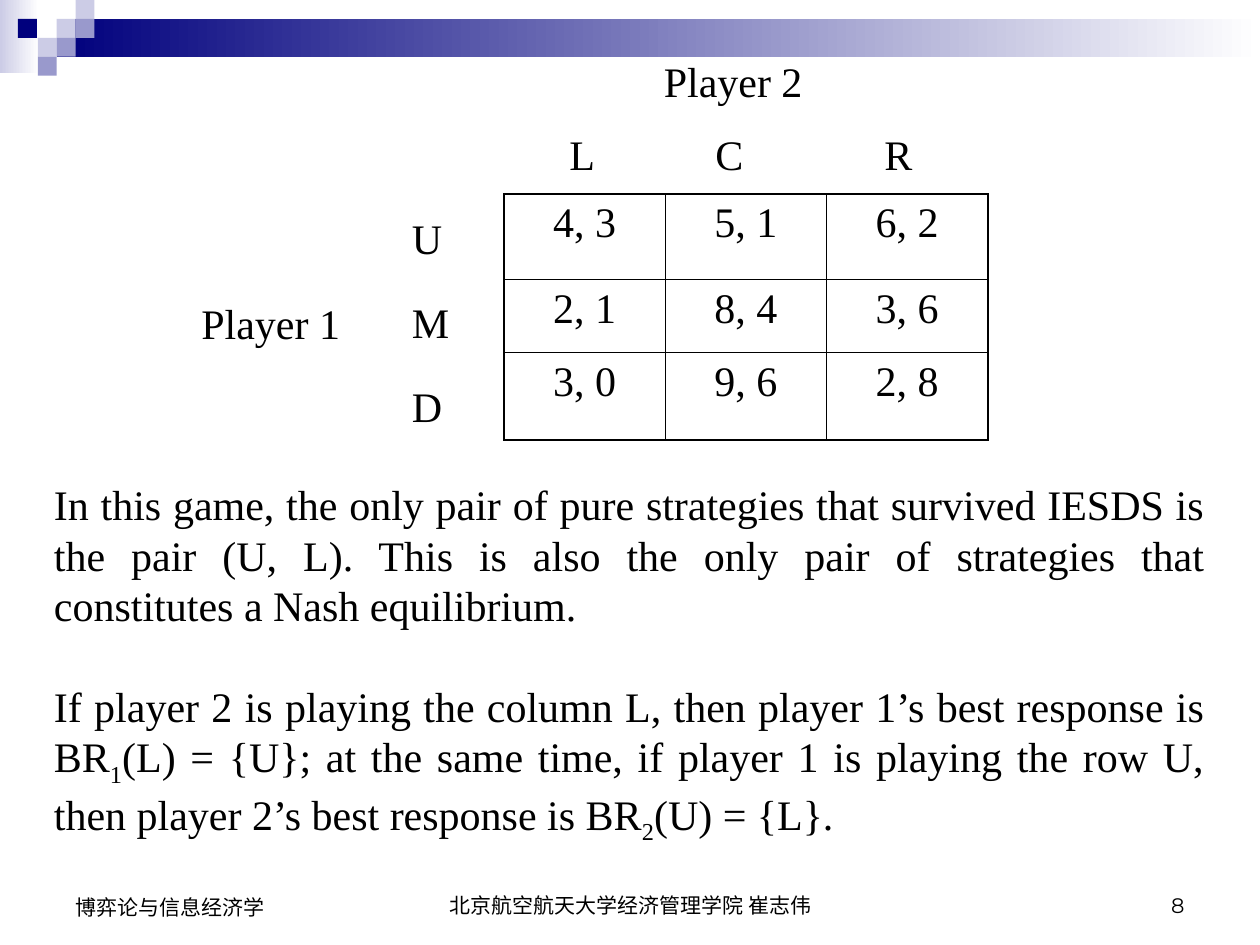
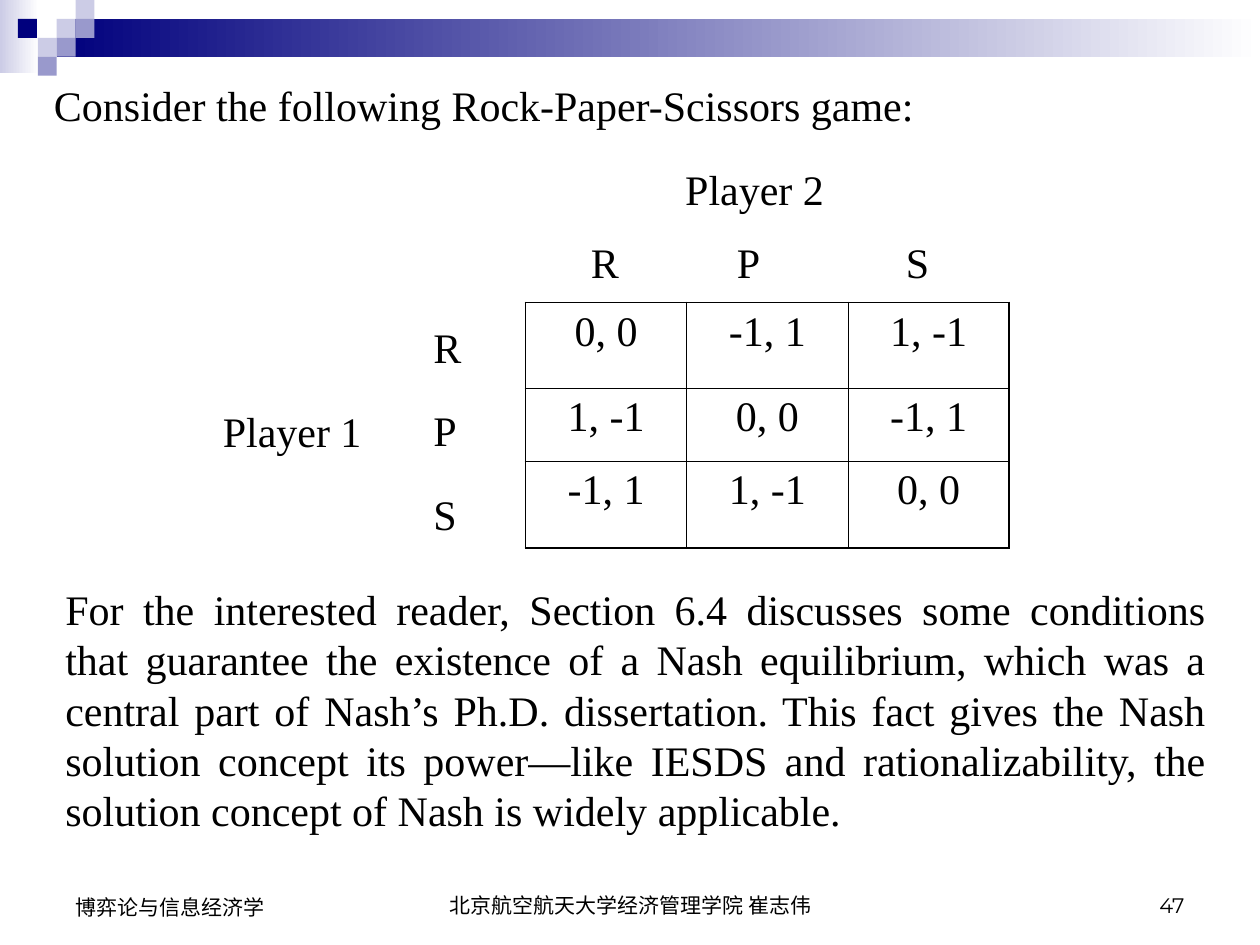
import dataclasses

import lxml.etree
import pptx
import pptx.dml.color
import pptx.enum.shapes
import pptx.enum.text
import pptx.oxml.ns
import pptx.util

Inches = pptx.util.Inches
Pt = pptx.util.Pt
ALIGN = pptx.enum.text.PP_ALIGN
ANCHOR = pptx.enum.text.MSO_ANCHOR


@dataclasses.dataclass(frozen=True)
class Theme:
    navy: str = "00007D"
    violet: str = "9999CC"
    lavender: str = "CCCCE6"
    white: str = "FFFFFF"
    ink: str = "000000"
    body_font: str = "Times New Roman"
    footer_font: str = "Arial"
    number_font: str = "Montserrat"
    body_size: float = 24
    footer_size: float = 12
    paragraph_gap: float = 28.8
    outer_line: float = 1.08
    inner_line: float = 0.45


THEME = Theme()
COURSE = "博弈论与信息经济学"
AUTHOR = "北京航空航天大学经济管理学院 崔志伟"


def rgb(color):
    return pptx.dml.color.RGBColor.from_string(color)


def add_run(paragraph, text, font=THEME.body_font, size=THEME.body_size, baseline=0):
    run = paragraph.add_run()
    run.text = text
    run.font.name = font
    run.font.size = Pt(size)
    run.font.color.rgb = rgb(THEME.ink)
    if baseline:
        run.font._element.set("baseline", str(baseline * 1000))


def add_text(slide, box, paragraphs, align=ALIGN.LEFT, anchor=ANCHOR.TOP, **font):
    """Each paragraph is a list of (text, baseline percent) runs."""
    frame = slide.shapes.add_textbox(*map(Inches, box)).text_frame
    frame.word_wrap = True
    frame.vertical_anchor = anchor
    for index, runs in enumerate(paragraphs):
        paragraph = frame.add_paragraph() if index else frame.paragraphs[0]
        paragraph.alignment = align
        if index:
            paragraph.space_before = Pt(THEME.paragraph_gap)
        for text, baseline in runs:
            add_run(paragraph, text, baseline=baseline, **font)


def add_label(slide, box, text, **options):
    add_text(slide, box, [[(text, 0)]], **options)


# Header band with its mosaic of squares
def add_rectangle(shapes, box, color, fade_to=None):
    shape = shapes.add_shape(pptx.enum.shapes.MSO_SHAPE.RECTANGLE, *map(Inches, box))
    shape.shadow.inherit = False
    shape.line.fill.background()
    if fade_to is None:
        shape.fill.solid()
        shape.fill.fore_color.rgb = rgb(color)
    else:
        shape.fill.gradient()
        shape.fill.gradient_angle = 0
        for stop, stop_color in zip(shape.fill.gradient_stops, (color, fade_to)):
            stop.color.rgb = rgb(stop_color)


def add_header(slide, left=0, top=0):
    shapes = slide.shapes.add_group_shape().shapes
    add_rectangle(shapes, (left, top, 0.31, 0.58), THEME.lavender, THEME.white)
    add_rectangle(shapes, (left + 0.45, top + 0.15, 9.55, 0.3), THEME.navy, THEME.white)
    side = 0.15
    squares = [
        (3, 1, THEME.lavender), (4, 0, THEME.lavender), (4, 1, THEME.violet),
        (2, 2, THEME.lavender), (0.95, 1, THEME.navy), (3, 2, THEME.violet),
        (2, 3, THEME.violet),
    ]
    for column, row, color in squares:
        box = (left + column * side, top + row * side, side, side)
        add_rectangle(shapes, box, color)


# Footer: course, author and page number
def add_footer(slide, number, left=0.5, top=6.83):
    parts = [
        (2.92, 3.17, 0.5, AUTHOR, ALIGN.CENTER, THEME.footer_font),
        (6.67, 2.33, 0.5, str(number), ALIGN.RIGHT, THEME.number_font),
        (0, 2.33, 0.52, COURSE, ALIGN.LEFT, THEME.footer_font),
    ]
    for offset, width, height, text, align, font in parts:
        add_label(slide, (left + offset, top, width, height), text, align=align,
                  anchor=ANCHOR.BOTTOM, font=font, size=THEME.footer_size)


# Payoff table and the labels around it
def set_borders(cell, widths):
    properties = cell._tc.get_or_add_tcPr()
    qualify = pptx.oxml.ns.qn
    for side, width in widths.items():
        line = lxml.etree.SubElement(properties, qualify("a:ln" + side), w=str(Pt(width)))
        fill = lxml.etree.SubElement(line, qualify("a:solidFill"))
        lxml.etree.SubElement(fill, qualify("a:srgbClr"), val=THEME.ink)


def add_payoff_table(slide, left, top, payoffs):
    column_width, row_heights = 1.28, (0.68, 0.58, 0.69)
    last = len(payoffs) - 1
    table = slide.shapes.add_table(
        len(payoffs), len(payoffs[0]), Inches(left), Inches(top),
        Inches(column_width * len(payoffs[0])), Inches(sum(row_heights))).table
    table.first_row = table.horz_banding = False
    for column in table.columns:
        column.width = Inches(column_width)
    for row, height in zip(table.rows, row_heights):
        row.height = Inches(height)

    def line_width(outer):
        return THEME.outer_line if outer else THEME.inner_line

    for i, row in enumerate(payoffs):
        for j, payoff in enumerate(row):
            cell = table.cell(i, j)
            set_borders(cell, {"L": line_width(j == 0), "R": line_width(j == last),
                               "T": line_width(i == 0), "B": line_width(i == last)})
            cell.fill.background()
            paragraph = cell.text_frame.paragraphs[0]
            paragraph.alignment = ALIGN.CENTER
            add_run(paragraph, payoff)


def add_game(slide, left, top, row_names, column_names, payoffs):
    add_payoff_table(slide, left + 2.5, top + 1.15, payoffs)
    add_label(slide, (left + 3.67, top, 1.83, 0.5), "Player 2")
    add_label(slide, (left, top + 1.92, 1.33, 0.5), "Player 1")
    for index, name in enumerate(row_names):
        add_label(slide, (left + 1.67, top + 1.25 + index * 0.665, 0.58, 0.5), name)
    for offset, name in zip((2.92, 4.08, 5.42), column_names):
        add_label(slide, (left + offset, top + 0.58, 0.58, 0.5), name)


def add_base_slide(presentation, number):
    slide = presentation.slides.add_slide(presentation.slide_layouts[6])
    add_header(slide)
    add_footer(slide, number)
    return slide


def build_best_response_slide(presentation):
    slide = add_base_slide(presentation, 8)
    add_game(slide, 1.5, 0.39, "UMD", "LCR", [
        ["4, 3", "5, 1", "6, 2"],
        ["2, 1", "8, 4", "3, 6"],
        ["3, 0", "9, 6", "2, 8"],
    ])
    add_text(slide, (0.33, 3.75, 9.33, 3.01), [
        [("In this game, the only pair of pure strategies that survived IESDS is "
          "the pair (U, L). This is also the only pair of strategies that "
          "constitutes a Nash equilibrium.", 0)],
        [("If player 2 is playing the column L, then player 1’s best response is BR", 0),
         ("1", -25),
         ("(L) = {U}; at the same time, if player 1 is playing the row U, "
          "then player 2’s best response is BR", 0),
         ("2", -25),
         ("(U) = {L}.", 0)],
    ], align=ALIGN.JUSTIFY)


def build_rock_paper_scissors_slide(presentation):
    slide = add_base_slide(presentation, 47)
    add_label(slide, (0.33, 0.58, 9.17, 0.5),
              "Consider the following Rock-Paper-Scissors game:")
    add_game(slide, 1.67, 1.25, "RPS", "RPS", [
        ["0, 0", "-1, 1", "1, -1"],
        ["1, -1", "0, 0", "-1, 1"],
        ["-1, 1", "1, -1", "0, 0"],
    ])
    add_label(slide, (0.42, 4.58, 9.25, 2.1),
              "For the interested reader, Section 6.4 discusses some conditions that "
              "guarantee the existence of a Nash equilibrium, which was a central part "
              "of Nash’s Ph.D. dissertation. This fact gives the Nash solution concept "
              "its power—like IESDS and rationalizability, the solution concept of Nash "
              "is widely applicable.", align=ALIGN.JUSTIFY)


def main():
    presentation = pptx.Presentation()
    presentation.slide_width = Inches(10)
    presentation.slide_height = Inches(7.5)
    build_best_response_slide(presentation)
    build_rock_paper_scissors_slide(presentation)
    presentation.save("out.pptx")


if __name__ == "__main__":
    main()
